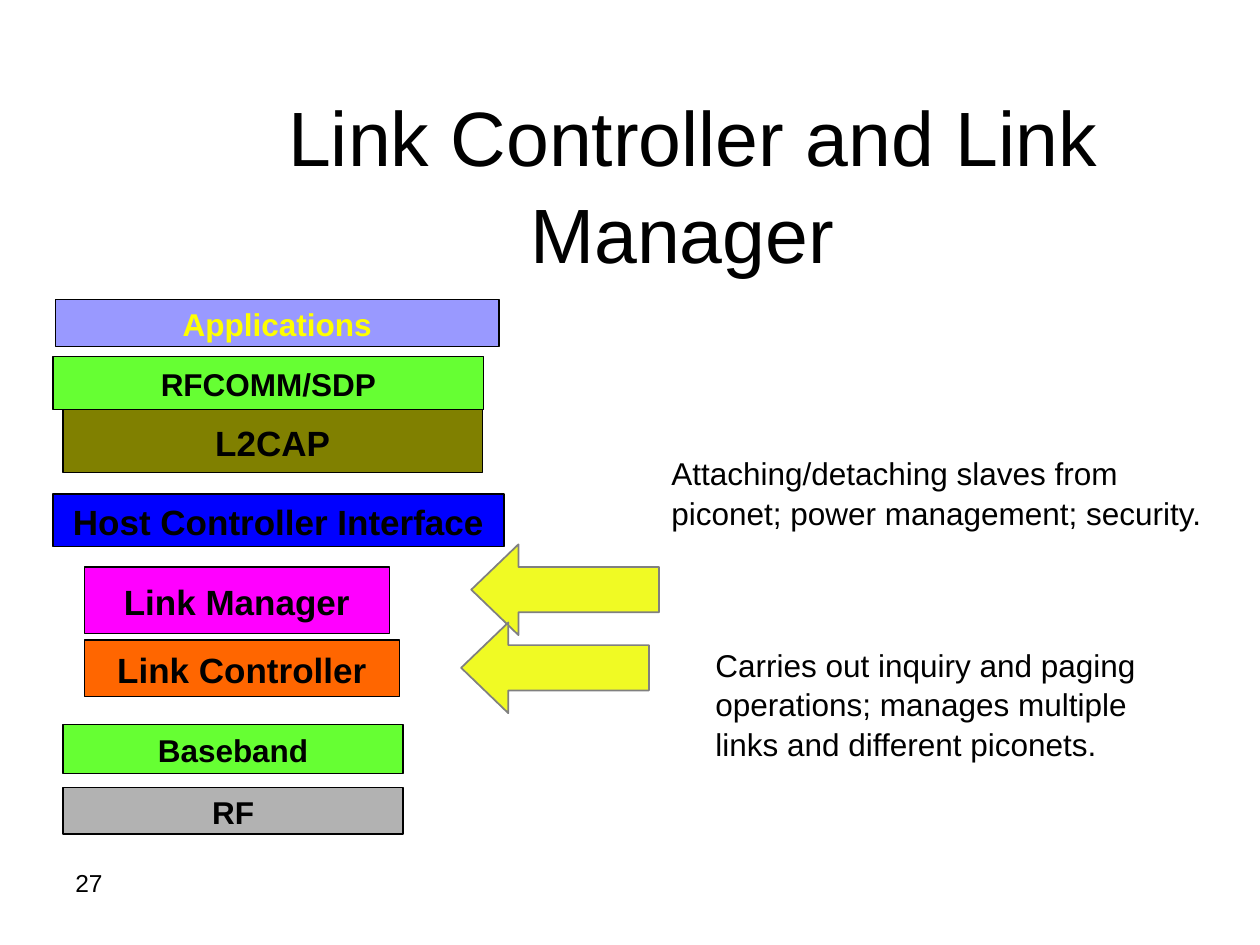
from pptx import Presentation
from pptx.dml.color import RGBColor
from pptx.enum.shapes import MSO_SHAPE as Shape
from pptx.enum.text import MSO_ANCHOR as Anchor, PP_ALIGN as Align
from pptx.util import Inches, Pt

COLORS = {
    "black": "000000", "yellow": "FFFF00", "arrow": "F0FA24", "outline": "808080",
    "gray": "B2B2B2", "green": "66FF33", "magenta": "FF00FF", "olive": "808000",
    "lilac": "9999FF", "orange": "FF6600", "blue": "0000FF",
}
TITLE = "Link Controller and Link Manager "
PAGE_NUMBER = "27"
LINK_MANAGER_NOTE = [
    "Attaching/detaching slaves from",
    "piconet; power management; security.",
]
LINK_CONTROLLER_NOTE = [
    "Carries out inquiry and paging ",
    "operations; manages multiple ",
    "links and different piconets.",
]
# label, (left, top, width, height), fill, text size, text colour
LAYERS = [
    ("RF", (0.5, 6.25, 2.7, 0.37), "gray", 18, "black"),
    ("Baseband", (0.5, 5.75, 2.7, 0.39), "green", 18, "black"),
    ("Link Manager", (0.67, 4.5, 2.42, 0.53), "magenta", 20, "black"),
    ("L2CAP", (0.5, 3.25, 3.33, 0.5), "olive", 20, "black"),
    ("RFCOMM/SDP", (0.42, 2.83, 3.42, 0.42), "green", 18, "black"),
    ("Applications", (0.44, 2.38, 3.52, 0.37), "lilac", 18, "yellow"),
    ("Link Controller", (0.67, 5.08, 2.5, 0.45), "orange", 20, "black"),
    ("Host Controller Interface", (0.42, 3.92, 3.58, 0.42), "blue", 20, "black"),
]
LINE_SPACING = 1.05

prs = Presentation()
prs.slide_width, prs.slide_height = Inches(10), Inches(7.5)
slide = prs.slides.add_slide(prs.slide_layouts[6])


def rgb(name):
    """Return the palette colour of this name."""
    return RGBColor.from_string(COLORS[name])


def write(shape, lines, size, color="black", bold=False, align=Align.LEFT,
          anchor=Anchor.TOP, wrap=False):
    """Fill a shape with one paragraph per line."""
    frame = shape.text_frame
    frame.word_wrap, frame.vertical_anchor = wrap, anchor
    frame.text = "\n".join(lines)
    for paragraph in frame.paragraphs:
        paragraph.alignment, paragraph.line_spacing = align, LINE_SPACING
        font = paragraph.runs[0].font
        for key, value in {"name": "Arial", "size": Pt(size), "bold": bold}.items():
            setattr(font, key, value)
        font.color.rgb = rgb(color)


def add_text(box, lines, size, **options):
    """Add a text box."""
    write(slide.shapes.add_textbox(*map(Inches, box)), lines, size, **options)


def add_block(kind, box, fill, line, line_width):
    """Add a filled, outlined shape without shadow."""
    block = slide.shapes.add_shape(kind, *map(Inches, box))
    block.shadow.inherit = False
    block.fill.solid()
    block.fill.fore_color.rgb = rgb(fill)
    block.line.color.rgb = rgb(line)
    block.line.width = Pt(line_width)
    return block


def add_arrow(left, top):
    """Add an arrow pointing at a layer."""
    arrow = add_block(Shape.LEFT_ARROW, (left, top, 1.49, 0.72), "arrow", "outline", 1)
    arrow.adjustments[1] = 0.52


add_text((0.5, 6.83, 2.33, 0.52), [PAGE_NUMBER], 14, wrap=True)
add_text((1.25, 1.17, 8.5, 0.55), [TITLE], 44, align=Align.CENTER,
         anchor=Anchor.MIDDLE, wrap=True)
add_arrow(3.74, 4.32)
for label, box, fill, size, color in LAYERS:
    layer = add_block(Shape.RECTANGLE, box, fill, "black", 0.75)
    write(layer, [label], size, color, True, Align.CENTER, Anchor.MIDDLE)
add_arrow(3.66, 4.94)
add_text((5.58, 5.06, 3.6, 1), LINK_CONTROLLER_NOTE, 18)
add_text((5.23, 3.54, 4.42, 0.7), LINK_MANAGER_NOTE, 18)

prs.save("out.pptx")
